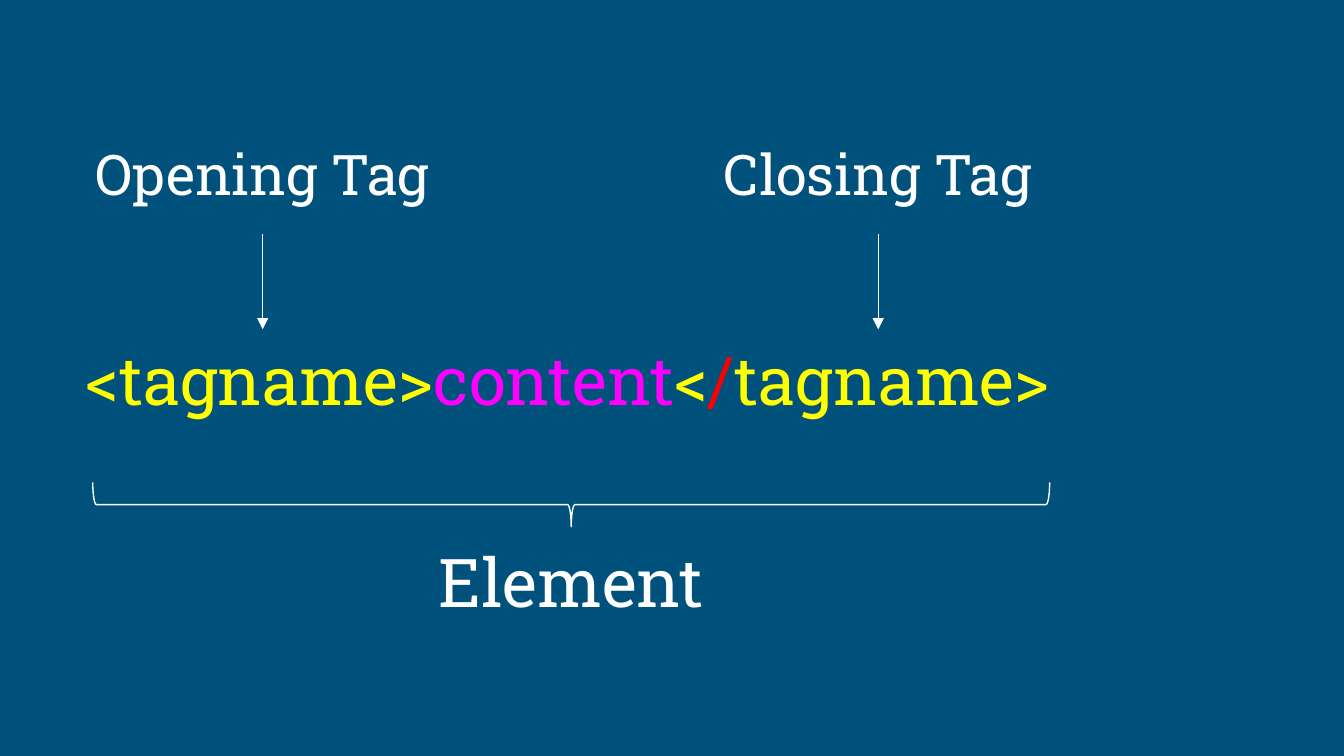
from lxml import etree
from pptx import Presentation
from pptx.dml.color import RGBColor
from pptx.enum import shapes, text
from pptx.oxml import ns
from pptx.util import Inches, Pt

COLORS = {
    "background": "00517C",
    "white": "FFFFFF",
    "tag": "FFFF00",
    "content": "FF00FF",
    "slash": "FF0000",
}
FONT = "Roboto Slab"


def rgb(name):
    return RGBColor.from_string(COLORS[name])


def add_text(s, box, runs, size, align=text.PP_ALIGN.CENTER,
             anchor=text.MSO_ANCHOR.TOP):
    """Place one line made of (wording, colour name) runs."""
    tf = s.shapes.add_textbox(*map(Inches, box)).text_frame
    tf.word_wrap = True
    tf.vertical_anchor = anchor
    tf.margin_left = tf.margin_right = Inches(0.1)
    tf.margin_top = tf.margin_bottom = Inches(0.1)
    p = tf.paragraphs[0]
    p.alignment = align
    p.font.name = FONT
    p.font.size = Pt(size)
    for wording, color in runs:
        r = p.add_run()
        r.text = wording
        r.font.color.rgb = rgb(color)


def style_line(line):
    line.color.rgb = rgb("white")
    line.width = Pt(0.75)


def add_markup(s, box):
    runs = [("<tagname>", "tag"), ("content", "content"), ("<", "tag"),
            ("/", "slash"), ("tagname>", "tag")]
    add_text(s, box, runs, 36, text.PP_ALIGN.LEFT, text.MSO_ANCHOR.MIDDLE)


def add_tag_label(s, box, label):
    """Place a label with an arrow pointing down from its centre."""
    left, top, width, height = box
    add_text(s, (left, top, width, 0.54), [(label, "white")], 30)
    x = Inches(left + width / 2)
    arrow = s.shapes.add_connector(
        shapes.MSO_CONNECTOR.STRAIGHT,
        x, Inches(top + 0.8), x, Inches(top + height))
    style_line(arrow.line)
    etree.SubElement(arrow.line._get_or_add_ln(), ns.qn("a:tailEnd"),
                     type="triangle")
    etree.SubElement(arrow._element.spPr, ns.qn("a:effectLst"))


def add_element_brace(s, box):
    """Place a brace opening upwards, with its label centred below."""
    left, top, width, height = box
    depth, label_width, label_height = 0.33, 2.42, 0.59
    # The brace is laid out upright and then turned about its centre.
    brace = s.shapes.add_shape(
        shapes.MSO_SHAPE.RIGHT_BRACE,
        Inches(left + (width - depth) / 2), Inches(top + (depth - width) / 2),
        Inches(depth), Inches(width))
    brace.rotation = 90
    brace.adjustments[0] = 0.083
    brace.adjustments[1] = 0.5
    brace.shadow.inherit = False
    brace.fill.background()
    style_line(brace.line)
    add_text(s, (left + (width - label_width) / 2, top + height - label_height,
                 label_width, label_height), [("Element", "white")], 36)


def build_slide(prs):
    s = prs.slides.add_slide(prs.slide_layouts[6])
    s.background.fill.solid()
    s.background.fill.fore_color.rgb = rgb("background")
    add_markup(s, (0.54, 0.58, 7.43, 4.47))
    add_element_brace(s, (0.69, 3.59, 7.12, 0.92))
    for left, label in ((0.57, "Opening Tag"), (5.15, "Closing Tag")):
        add_tag_label(s, (left, 0.94, 2.77, 1.51), label)


def main():
    prs = Presentation()
    prs.slide_width = Inches(10)
    prs.slide_height = prs.slide_width * 9 // 16
    build_slide(prs)
    prs.save("out.pptx")


if __name__ == "__main__":
    main()
